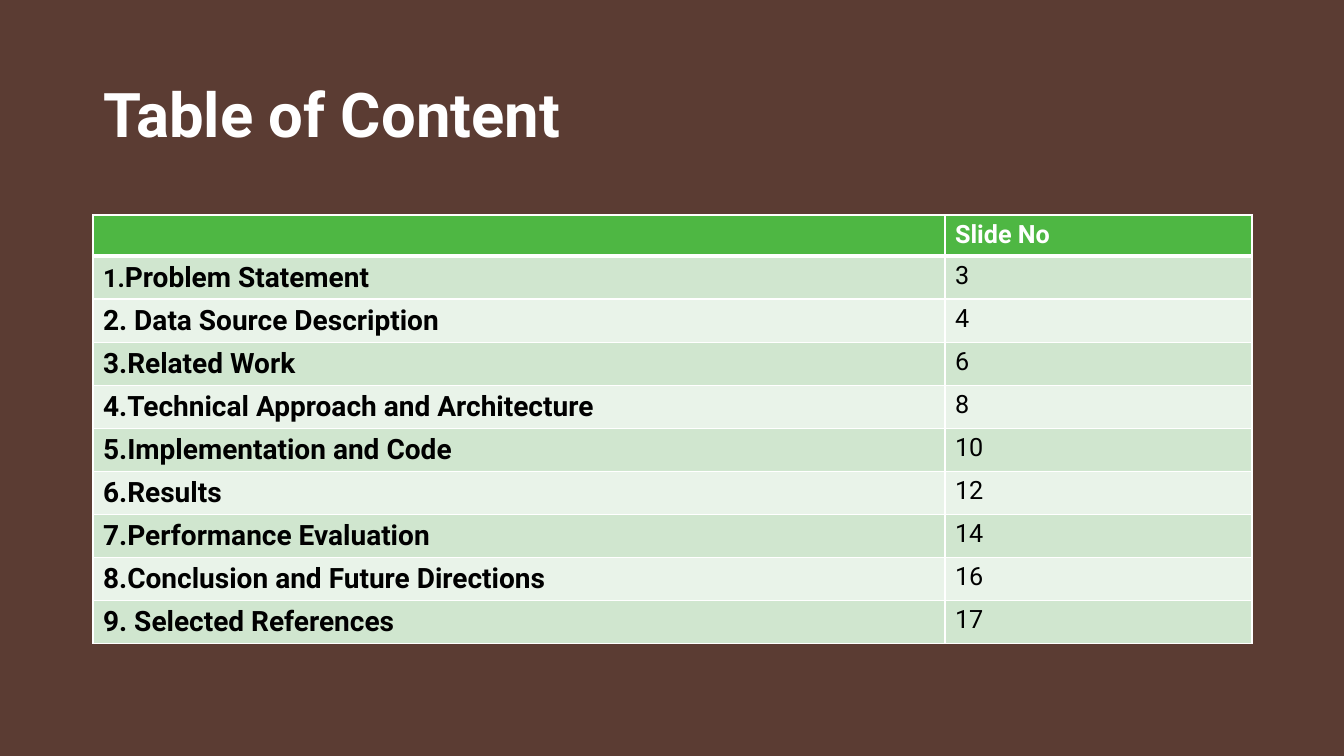
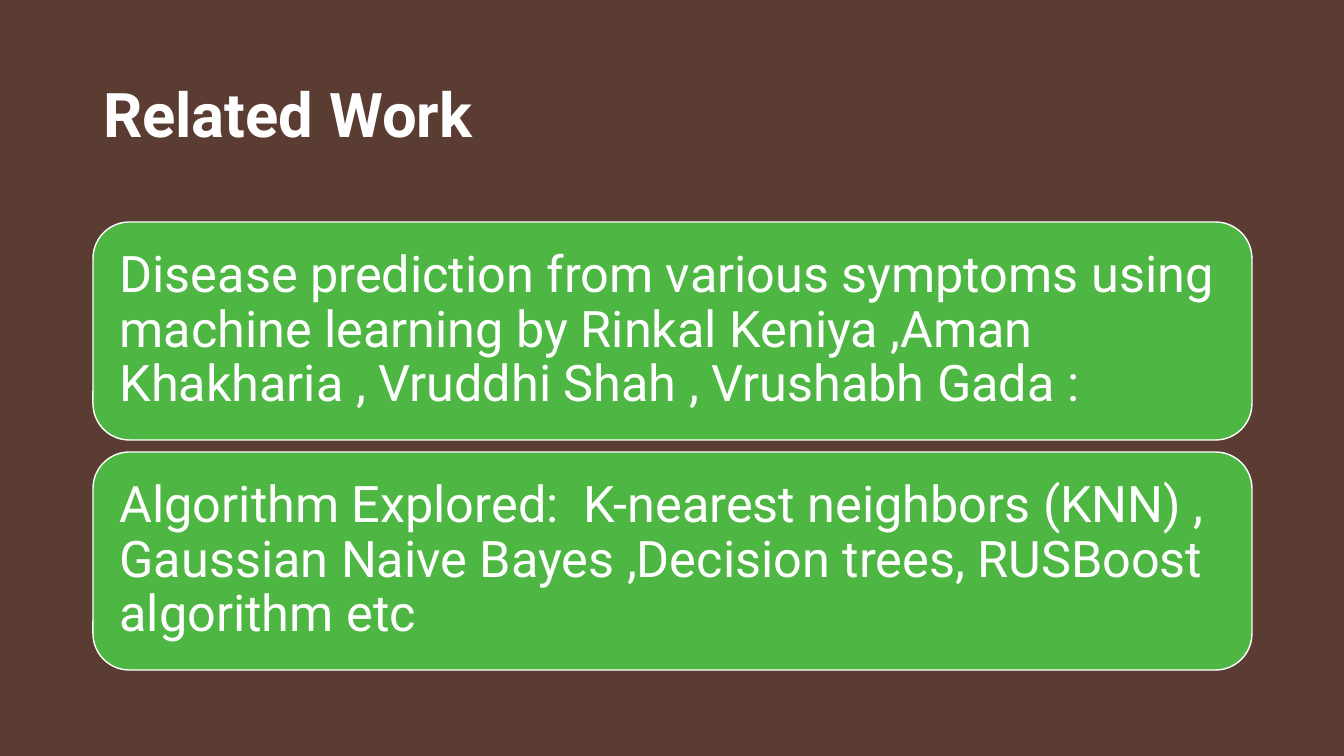
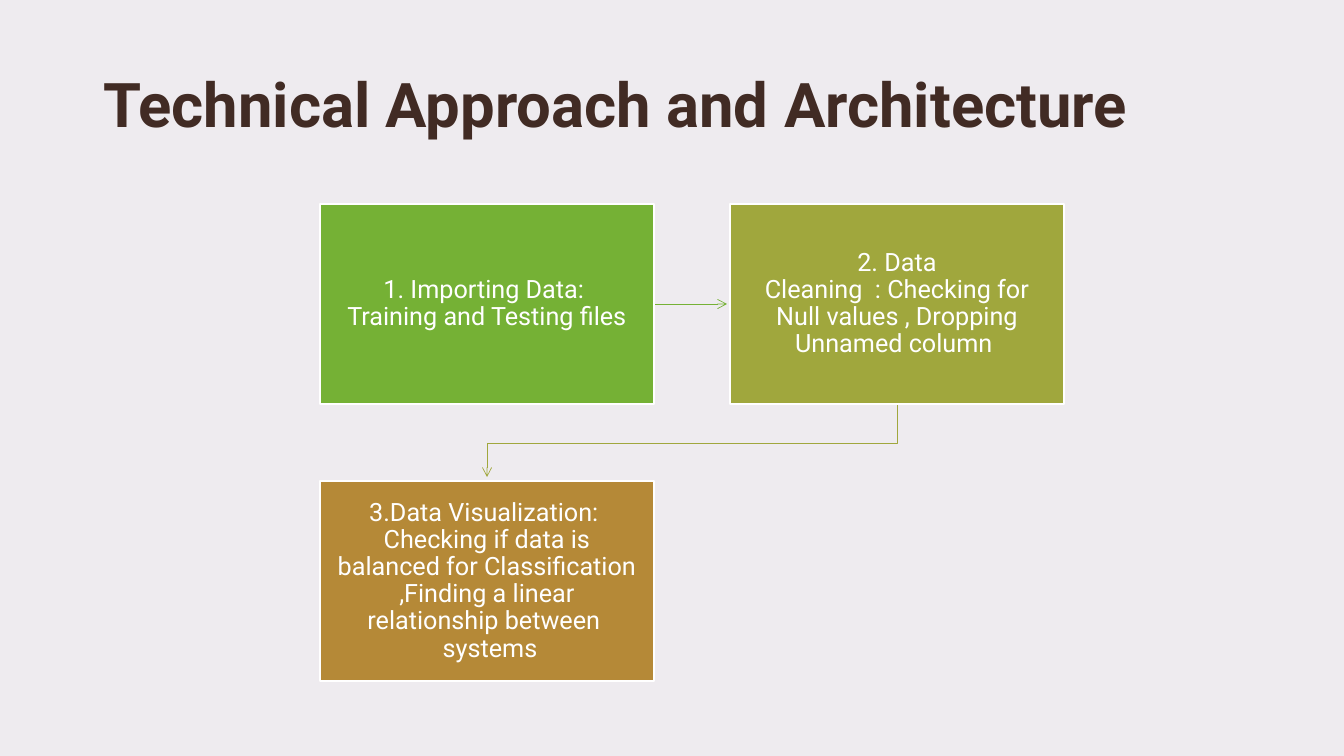
"""Build three slides on disease prediction: contents, related work and approach."""
from lxml import etree
from pptx import Presentation
from pptx.dml.color import RGBColor
from pptx.enum.shapes import MSO_CONNECTOR, MSO_SHAPE
from pptx.enum.text import MSO_ANCHOR, PP_ALIGN
from pptx.oxml import parse_xml
from pptx.oxml.ns import nsdecls, qn
from pptx.util import Pt

PX = 914400 / 100.8
FONT = "Roboto"
WHITE = RGBColor(0xFF, 0xFF, 0xFF)
BLACK = RGBColor(0, 0, 0)
BROWN = RGBColor(0x5B, 0x3C, 0x33)
DARK_BROWN = RGBColor(0x41, 0x2B, 0x24)
PALE_LILAC = RGBColor(0xEE, 0xEB, 0xEF)
GREEN = RGBColor(0x4E, 0xB7, 0x43)
BANDS = [RGBColor(0xD0, 0xE6, 0xCF), RGBColor(0xE9, 0xF3, 0xE9)]
LEAF = RGBColor(0x75, 0xB1, 0x35)
OLIVE = RGBColor(0xA0, 0xA7, 0x3D)
OCHRE = RGBColor(0xB5, 0x89, 0x37)
MARGIN, CONTENT_WIDTH = 93, 1159


def px(*lengths):
    return [round(length * PX) for length in lengths]


def write(frame, text, size, colour, bold=False, align=PP_ALIGN.LEFT):
    paragraph = frame.paragraphs[0]
    paragraph.alignment = align
    run = paragraph.add_run()
    run.text = text
    run.font.name = FONT
    run.font.size = Pt(size)
    run.font.bold = bold
    run.font.color.rgb = colour
    return paragraph


prs = Presentation()
prs.slide_width, prs.slide_height = px(1344, 756)
master_fill = prs.slide_master.background.fill
master_fill.solid()
master_fill.fore_color.rgb = BROWN

slides = []
for heading, colour, top, height, anchor in [
    ("Table of Content", WHITE, 40, 146, MSO_ANCHOR.MIDDLE),
    ("Related Work", WHITE, 40, 146, MSO_ANCHOR.MIDDLE),
    ("Technical Approach and Architecture", DARK_BROWN, 61, 141, MSO_ANCHOR.TOP),
]:
    slide = prs.slides.add_slide(prs.slide_layouts[5])
    title = slide.shapes.title
    title.left, title.top, title.width, title.height = px(MARGIN, top, CONTENT_WIDTH, height)
    title.text_frame.vertical_anchor = anchor
    write(title.text_frame, heading, 44, colour, bold=True)
    slides.append(slide)
contents, related, approach = slides

entries = [
    ("Problem Statement", 3), (" Data Source Description", 4), ("Related Work", 6),
    ("Technical Approach and Architecture", 8), ("Implementation and Code", 10),
    ("Results", 12), ("Performance Evaluation", 14),
    ("Conclusion and Future Directions", 16), (" Selected References", 17),
]
table = contents.shapes.add_table(
    len(entries) + 1, 2, *px(MARGIN, 215, CONTENT_WIDTH, 428)).table
table.horz_banding = False
table.columns[0].width, table.columns[1].width = px(852, 307)
for row_number, row in enumerate(table.rows):
    row.height = px(43 if row_number else 41)[0]
    for cell in row.cells:
        cell.fill.solid()
        cell.fill.fore_color.rgb = BANDS[(row_number - 1) % 2] if row_number else GREEN
        properties = cell._tc.get_or_add_tcPr()
        for position, side in enumerate(["lnL", "lnR", "lnT", "lnB"]):
            heavy = (row_number, side) in [(0, "lnB"), (1, "lnT")]
            properties.insert(position, parse_xml(
                f'<a:{side} {nsdecls("a")} w="{Pt(3 if heavy else 1)}"><a:solidFill>'
                f'<a:srgbClr val="{WHITE}"/></a:solidFill></a:{side}>'))
write(table.cell(0, 1).text_frame, "Slide No", 18, WHITE, bold=True)
for number, (topic, page) in enumerate(entries, 1):
    topic_frame = table.cell(number, 0).text_frame
    write(topic_frame, f"{number}.", 18 if number == 1 else 20, BLACK, bold=True)
    write(topic_frame, topic, 20, BLACK, bold=True)
    write(table.cell(number, 1).text_frame, str(page), 18, BLACK)

step_left, step_top, step_width, step_height = 320, 204, 334, 200
column_pitch, row_pitch = 410, 277
middle_x, middle_y = step_left + step_width // 2, step_top + step_height // 2
step_bottom, bend_y = step_top + step_height, 443
across = approach.shapes.add_connector(
    MSO_CONNECTOR.STRAIGHT, *px(step_left + step_width, middle_y, 727, middle_y))
bend = approach.shapes.build_freeform(middle_x + column_pitch, step_bottom, scale=PX)
bend.add_line_segments(
    [(middle_x + column_pitch, bend_y), (middle_x, bend_y), (middle_x, 477)], close=False)
down = bend.convert_to_shape()
down.fill.background()
for arrow, colour in [(across, LEAF), (down, OLIVE)]:
    arrow.line.color.rgb = colour
    arrow.line.width = Pt(0.5)
    etree.SubElement(arrow.line._get_or_add_ln(), qn("a:tailEnd"), type="arrow")
    etree.SubElement(arrow._element.spPr, qn("a:effectLst"))

panels = [
    (related, MSO_SHAPE.ROUNDED_RECTANGLE, (MARGIN, 222 + 230 * index, CONTENT_WIDTH, 218),
     GREEN, 36, PP_ALIGN.LEFT, text)
    for index, text in enumerate([
        "Disease prediction from various symptoms using machine learning by\u00a0Rinkal Keniya "
        ",Aman Khakharia , Vruddhi Shah ,\u00a0Vrushabh Gada :\u00a0",
        "Algorithm Explored:\u00a0 K-nearest neighbors (KNN) , Gaussian Naive Bayes ,"
        "Decision trees, RUSBoost algorithm etc",
    ])
] + [
    (approach, MSO_SHAPE.RECTANGLE,
     (step_left + column_pitch * (index % 2), step_top + row_pitch * (index // 2),
      step_width, step_height), colour, 18, PP_ALIGN.CENTER, text)
    for index, (colour, text) in enumerate([
        (LEAF, "1. Importing Data:\u00a0 Training and Testing files"),
        (OLIVE, "2. Data Cleaning\u00a0 :\u00a0Checking for Null values ,"
                "\u00a0Dropping Unnamed column\u00a0"),
        (OCHRE, "3.Data Visualization:\u00a0 Checking if data is balanced for"
                "\u00a0Classification ,Finding a linear relationship between\u00a0 \u00a0systems"),
    ])
]
for slide, outline, box, colour, size, align, text in panels:
    panel = slide.shapes.add_shape(outline, *px(*box))
    panel.shadow.inherit = False
    panel.fill.solid()
    panel.fill.fore_color.rgb = colour
    panel.line.color.rgb = WHITE
    panel.line.width = Pt(1)
    frame = panel.text_frame
    frame.word_wrap = True
    frame.vertical_anchor = MSO_ANCHOR.MIDDLE
    frame.margin_left = frame.margin_right = frame.margin_top = frame.margin_bottom = px(16)[0]
    write(frame, text, size, WHITE, align=align).line_spacing = 0.9

backdrop = approach.background.fill
backdrop.solid()
backdrop.fore_color.rgb = PALE_LILAC

prs.save("out.pptx")
